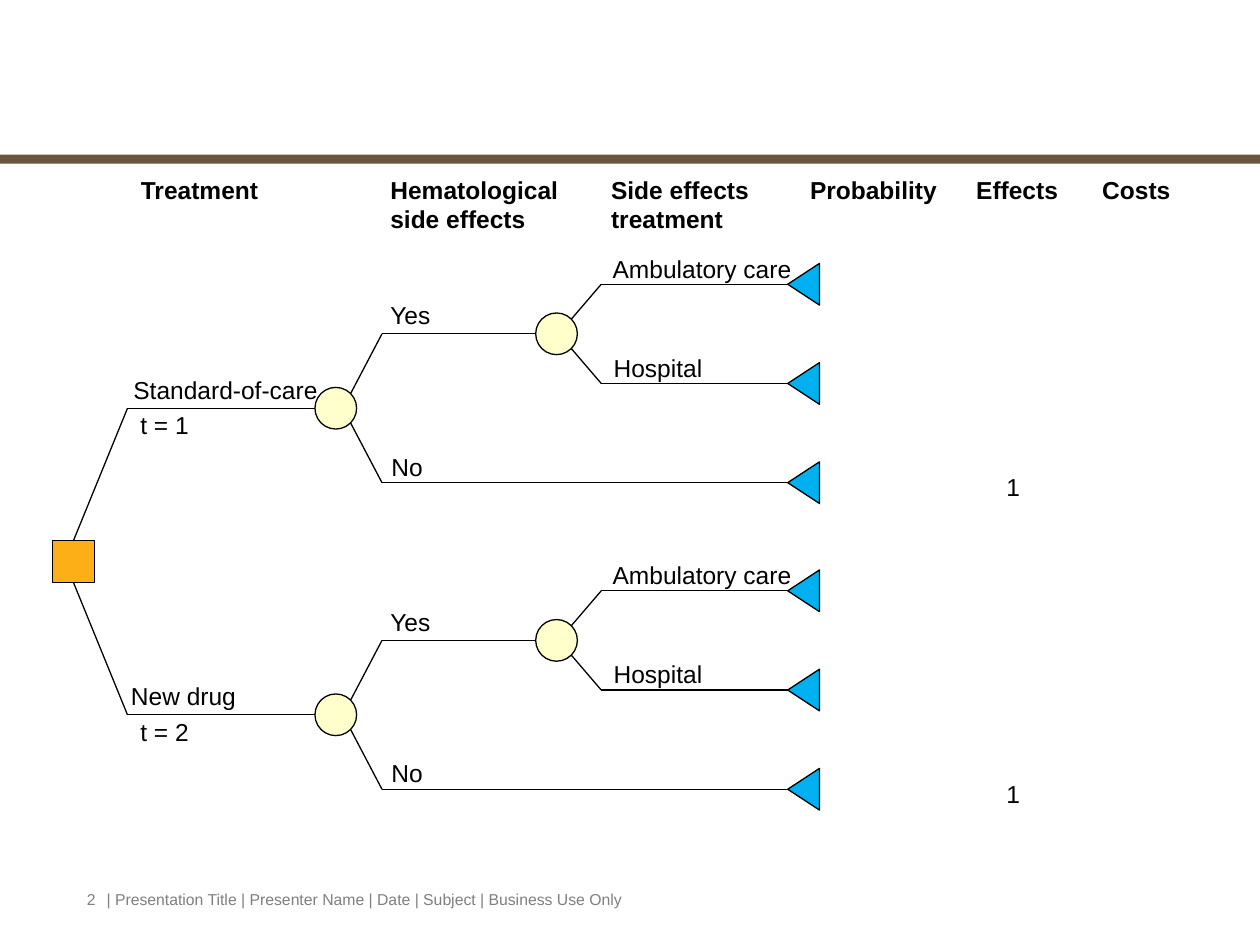
from lxml.etree import SubElement
from pptx import Presentation
from pptx.dml.color import RGBColor
from pptx.enum.shapes import MSO_CONNECTOR as Connector, MSO_SHAPE as Shape
from pptx.enum.text import MSO_ANCHOR as Anchor, MSO_AUTO_SIZE as AutoSize
from pptx.oxml.ns import qn
from pptx.util import Cm, Pt

LABEL = {"name": "Arial", "size": Pt(14), "bold": False}
HEADING = {**LABEL, "bold": True}
FOOTER = {**LABEL, "size": Pt(9)}

# Tree columns and node size, in centimetres
ROOT_X, ROOT_Y = 1.48, 11.32
TREATMENT_X, EVENT_X, CARE_X = 2.57, 7.7, 12.12
FIRST_CHANCE_X, SECOND_CHANCE_X, TERMINAL_X = 6.77, 11.22, 16.2
NODE = 0.84
TERMINAL_DEPTH = 0.64
SLANT = 0.3  # where a slanted branch leaves a chance node
EVENT_GAP, CARE_GAP = 1.5, 1.0  # branch distance above and below a node

HEADINGS = [  # text, left, width, height
    ("Treatment", 2.59, 2.92, 0.86),
    ("Hematological \vside effects", 7.62, 4.04, 1.45),
    ("Side effects\vtreatment", 12.07, 3.3, 1.45),
    ("Probability", 16.08, 3.07, 0.86),
    ("Effects", 19.43, 2.16, 0.86),
    ("Costs", 21.97, 1.91, 0.86),
]
TREATMENTS = [  # name, left, width, term, branch height
    ("Standard-of-care", 2.44, 4.24, "t = 1", 8.23),
    ("New drug", 2.39, 2.64, "t = 2", 14.41),
]


def color(hex_text):
    return RGBColor.from_string(hex_text)


def add_text(slide, text, left, top, width, height=0.86, style=LABEL,
             ink="000000", fit=True):
    box = slide.shapes.add_textbox(Cm(left), Cm(top), Cm(width), Cm(height))
    frame = box.text_frame
    frame.word_wrap = not fit
    frame.auto_size = AutoSize.SHAPE_TO_FIT_TEXT if fit else AutoSize.NONE
    frame.vertical_anchor = Anchor.TOP if fit else Anchor.MIDDLE
    frame.text = text
    for run in frame.paragraphs[0].runs:
        for name, value in style.items():
            setattr(run.font, name, value)
        run.font.color.rgb = color(ink)


def add_node(slide, kind, x, y, fill, width=NODE, height=NODE, rotation=0):
    """Place an outlined shape by its centre."""
    node = slide.shapes.add_shape(kind, Cm(x - width / 2), Cm(y - height / 2),
                                  Cm(width), Cm(height))
    node.rotation = rotation
    node.shadow.inherit = False
    node.fill.solid()
    node.fill.fore_color.rgb = color(fill)
    node.line.color.rgb = color("000000")
    node.line.width = Pt(0.75)
    return node


def add_chance(slide, x, y):
    add_node(slide, Shape.OVAL, x, y, "FFFFCC")


def add_terminal(slide, y):
    add_node(slide, Shape.FLOWCHART_EXTRACT, TERMINAL_X, y, "00B0F0",
             height=TERMINAL_DEPTH, rotation=270)


def add_line(slide, x1, y1, x2, y2):
    line = slide.shapes.add_connector(Connector.STRAIGHT,
                                      Cm(x1), Cm(y1), Cm(x2), Cm(y2))
    line.line.color.rgb = color("000000")
    line.line.width = Pt(0.75)
    SubElement(line._element.spPr, qn("a:effectLst"))
    return line


def add_fork(slide, x, y, bend_x, gap, upper_end, lower_end):
    """Draw two bent branches leaving a chance node."""
    for sign, end_x in ((-1, upper_end), (1, lower_end)):
        branch_y = y + sign * gap
        add_line(slide, x + SLANT, y + sign * SLANT, bend_x, branch_y)
        add_line(slide, bend_x, branch_y, end_x, branch_y)


def add_treatment(slide, root, site, name, left, width, term, y):
    yes_y, no_y = y - EVENT_GAP, y + EVENT_GAP
    tip_x = TERMINAL_X - TERMINAL_DEPTH / 2

    # Branches
    trunk = add_line(slide, ROOT_X, ROOT_Y, TREATMENT_X, y)
    trunk.begin_connect(root, site)
    add_line(slide, TREATMENT_X, y, FIRST_CHANCE_X - NODE / 2, y)
    add_fork(slide, FIRST_CHANCE_X, y, EVENT_X, EVENT_GAP,
             SECOND_CHANCE_X - NODE / 2, tip_x)
    add_fork(slide, SECOND_CHANCE_X, yes_y, CARE_X, CARE_GAP, tip_x, tip_x)

    # Nodes
    add_chance(slide, FIRST_CHANCE_X, y)
    add_chance(slide, SECOND_CHANCE_X, yes_y)
    for terminal_y in (yes_y - CARE_GAP, yes_y + CARE_GAP, no_y):
        add_terminal(slide, terminal_y)

    # Labels
    add_text(slide, name, left, y - 0.8, width)
    add_text(slide, term, 2.58, y - 0.09, 1.5)
    add_text(slide, "Yes", 7.62, yes_y - 0.8, 1.37)
    add_text(slide, "No", 7.64, no_y - 0.75, 1.14)
    add_text(slide, "Ambulatory care", 12.1, yes_y - CARE_GAP - 0.74, 4.14)
    add_text(slide, "Hospital", 12.12, yes_y + CARE_GAP - 0.74, 2.31)
    add_text(slide, "1", 20.04, no_y - 0.33, 0.79)


def main():
    presentation = Presentation()
    presentation.slide_width, presentation.slide_height = Cm(25.4), Cm(19.05)
    slide = presentation.slides.add_slide(presentation.slide_layouts[6])

    # Rule and footer
    rule = slide.shapes.add_shape(Shape.RECTANGLE, 0, Cm(3.12),
                                  presentation.slide_width, Cm(0.18))
    rule.shadow.inherit = False
    rule.fill.solid()
    rule.fill.fore_color.rgb = color("6A5540")
    rule.line.fill.background()
    footer = "| Presentation Title | Presenter Name | Date | Subject | Business Use Only"
    for text, left, width in ((footer, 1.9, 17.98), ("2", 1.5, 1.12)):
        add_text(slide, text, left, 17.78, width, 0.69, FOOTER, "7F7F7F", fit=False)

    # Column headings
    for text, left, width, height in HEADINGS:
        add_text(slide, text, left, 3.4, width, height, HEADING)

    # Decision tree
    root = add_node(slide, Shape.RECTANGLE, ROOT_X, ROOT_Y, "FCAF17")
    for site, treatment in zip((0, 2), TREATMENTS):
        add_treatment(slide, root, site, *treatment)

    presentation.save("out.pptx")


if __name__ == "__main__":
    main()
